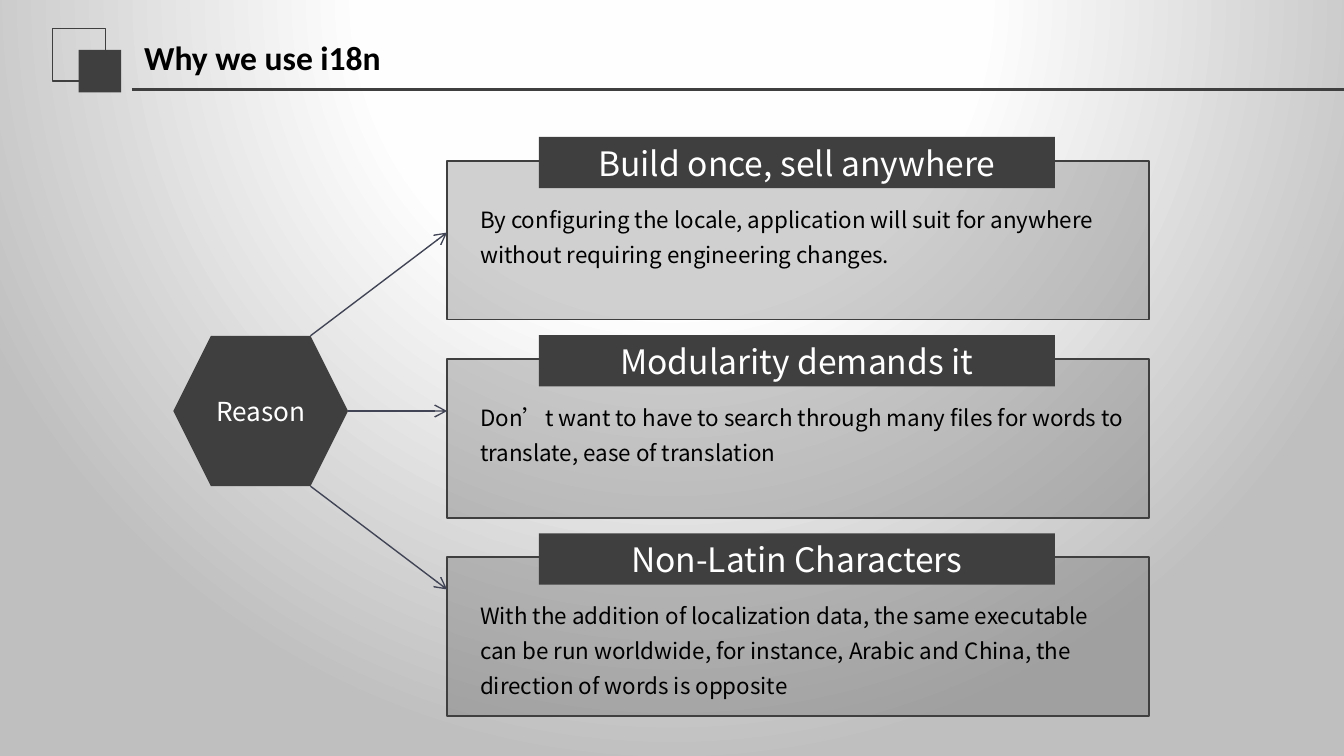
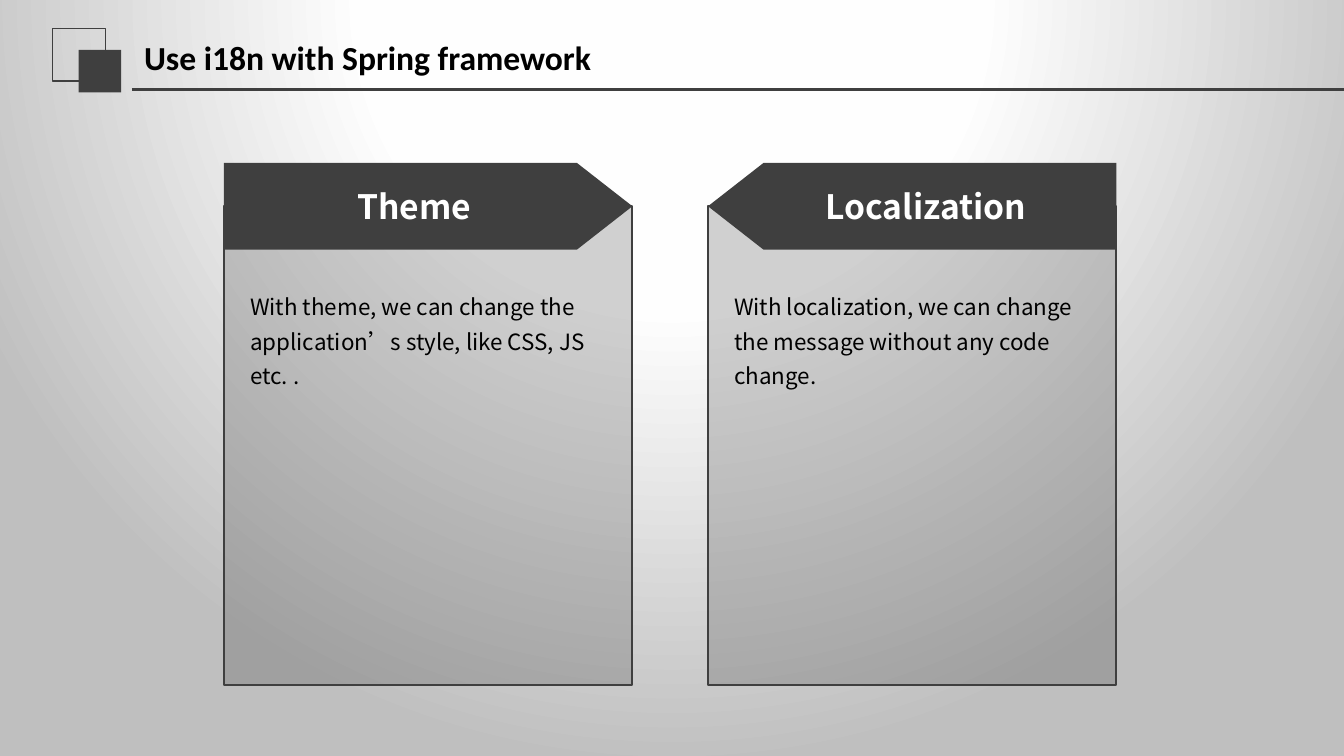
from dataclasses import dataclass

from lxml.etree import SubElement
from pptx import Presentation
from pptx.dml.color import RGBColor as Rgb
from pptx.enum.shapes import MSO_CONNECTOR as Link, MSO_SHAPE as Kind
from pptx.enum.text import MSO_ANCHOR as Anchor, MSO_AUTO_SIZE as Fit, PP_ALIGN as Align
from pptx.oxml import parse_xml
from pptx.oxml.ns import nsdecls, qn
from pptx.util import Pt


@dataclass(frozen=True)
class Theme:
    dark: str = "3F3F3F"
    arrow: str = "414455"
    white: str = "FFFFFF"
    black: str = "000000"
    glow: tuple = ((0, "FFFFFF"), (40, "FEFEFE"), (100, "BFBFBF"))
    tint: int = 24
    head: str = "Calibri"
    body: str = "Noto Sans CJK SC"
    big: int = 18
    mid: int = 14
    small: int = 12


THEME = Theme()
WIDTH, HEIGHT = 720, 405

REASONS = (
    ("Build once, sell anywhere", 43,
     "By configuring the locale, application will suit for anywhere "
     "without requiring engineering changes."),
    ("Modularity demands it", 43,
     "Don’t want to have to search through many files for words to "
     "translate, ease of translation"),
    ("Non-Latin Characters", 60.5,
     "With the addition of localization data, the same executable can be run "
     "worldwide, for instance, Arabic and China, the direction of words is opposite"),
)
PANELS = (
    ("Theme", False,
     "With theme, we can change the application’s style, like CSS, JS etc. ."),
    ("Localization", True,
     "With localization, we can change the message without any code change."),
)


def write(shape, text, size, color, font=THEME.body, align=Align.LEFT, bold=False):
    frame = shape.text_frame
    frame.text = text
    para = frame.paragraphs[0]
    para.alignment = align
    for run in para.runs:
        run.font.size = Pt(size)
        run.font.bold = bold
        run.font.color.rgb = Rgb.from_string(color)
        run.font.name = font
        SubElement(run.font._element, qn("a:ea")).set("typeface", font)
    return frame


def pad(frame):
    frame.margin_left = frame.margin_right = Pt(5.4)
    frame.margin_top = frame.margin_bottom = Pt(2.7)


def add_box(slide, box, kind=Kind.RECTANGLE, fill=None, line=None, tint=None):
    shape = slide.shapes.add_shape(kind, *map(Pt, box))
    shape.shadow.inherit = False
    if fill:
        shape.fill.solid()
        shape.fill.fore_color.rgb = Rgb.from_string(fill)
    else:
        shape.fill.background()
    if tint:
        color = shape.element.find(".//" + qn("a:srgbClr"))
        SubElement(color, qn("a:alpha")).set("val", str(tint * 1000))
    if line:
        shape.line.color.rgb = Rgb.from_string(THEME.dark)
        shape.line.width = Pt(line)
    else:
        shape.line.fill.background()
    return shape


def add_label(slide, box, text, kind=Kind.RECTANGLE, size=THEME.big, bold=False):
    shape = add_box(slide, box, kind, THEME.dark)
    frame = write(shape, text, size, THEME.white, align=Align.CENTER, bold=bold)
    frame.vertical_anchor = Anchor.MIDDLE
    frame.word_wrap = True
    pad(frame)
    return shape


def add_card(slide, box):
    return add_box(slide, box, fill=THEME.dark, line=1, tint=THEME.tint)


def add_note(slide, box, text):
    note = slide.shapes.add_textbox(*map(Pt, box))
    frame = write(note, text, THEME.small, THEME.black)
    frame.word_wrap = True
    frame.auto_size = Fit.SHAPE_TO_FIT_TEXT
    frame.paragraphs[0].line_spacing = 1.3
    pad(frame)


def add_line(slide, start, end, color, width, arrow=False):
    line = slide.shapes.add_connector(Link.STRAIGHT, *map(Pt, start + end))
    line.line.color.rgb = Rgb.from_string(color)
    line.line.width = Pt(width)
    if arrow:
        stroke = line.element.find(".//" + qn("a:ln"))
        SubElement(stroke, qn("a:tailEnd")).set("type", "arrow")
    SubElement(line.element.find(qn("p:spPr")), qn("a:effectLst"))
    return line


def set_glow(layout):
    layout.background.fill.gradient()
    old = layout.element.find(".//" + qn("a:gradFill"))
    stops = "".join(
        f'<a:gs pos="{pos * 1000}"><a:srgbClr val="{color}"/></a:gs>'
        for pos, color in THEME.glow)
    new = parse_xml(
        f'<a:gradFill {nsdecls("a")} rotWithShape="1"><a:gsLst>{stops}</a:gsLst>'
        '<a:path path="circle"><a:fillToRect l="50000" t="-80000" r="50000" '
        'b="180000"/></a:path></a:gradFill>')
    old.getparent().replace(old, new)


def style_layout(layout, slide):
    set_glow(layout)
    parts = (
        add_box(slide, (28.2, 15.2, 28.2, 28.2), line=0.75),
        add_box(slide, (42.2, 26.8, 22.8, 22.8), fill=THEME.dark),
        add_line(slide, (70.6, 47.9), (WIDTH, 47.9), THEME.dark, 1.25),
    )
    for spot, part in enumerate(parts):
        part.element.find(".//" + qn("p:cNvPr")).set("id", str(20 + spot))
        layout.shapes.element.insert(2 + spot, part.element)


def set_title(slide, text):
    title = slide.shapes.title
    title.left, title.top, title.width, title.height = map(Pt, (70, 15.2, 256.5, 31))
    frame = write(title, text, THEME.big, THEME.black, THEME.head, bold=True)
    frame.vertical_anchor = Anchor.MIDDLE
    frame.auto_size = Fit.NONE


def fill_why(slide):
    set_title(slide, "Why we use i18n")
    left, top, step = 239.5, 86.2, 106.2
    for row, (head, tall, text) in enumerate(REASONS):
        y = top + row * step
        add_card(slide, (left, y, 376, 85))
        add_label(slide, (left + 49.2, y - 12.8, 276.5, 27.4), head)
        add_note(slide, (left + 12.3, y + 17, 357, tall), text)

    x, wide, tall, mid = 92.9, 93.6, 80.6, 220.2
    add_label(slide, (x, mid - tall / 2, wide, tall), "Reason", Kind.HEXAGON, THEME.mid)
    for side in (-1, 0, 1):
        inset = tall / 4 * abs(side)
        start = (x + wide - inset, mid + side * tall / 2)
        add_line(slide, start, (left, mid + side * 95.6), THEME.arrow, 0.75, True)


def fill_use(slide):
    set_title(slide, "Use i18n with Spring framework")
    wide, top, tall = 218.8, 110.5, 46.4
    for col, (head, flip, text) in enumerate(PANELS):
        x = 120 + col * 259.3
        add_card(slide, (x, top, wide, 256.5))
        plate = add_label(slide, (x, top - tall / 2, wide, tall), head,
                          Kind.PENTAGON, bold=True)
        plate.adjustments[0] = 0.64
        plate.text_frame.word_wrap = False
        if flip:
            plate.element.find(".//" + qn("a:xfrm")).set("flipH", "1")
        add_note(slide, (x + 8.6, top + 39.3, 210.2, 62), text)


def main():
    deck = Presentation()
    deck.slide_width, deck.slide_height = Pt(WIDTH), Pt(HEIGHT)
    layout = deck.slide_layouts[5]
    why, use = (deck.slides.add_slide(layout) for _ in range(2))
    style_layout(layout, why)
    fill_why(why)
    fill_use(use)
    deck.save("out.pptx")


if __name__ == "__main__":
    main()
